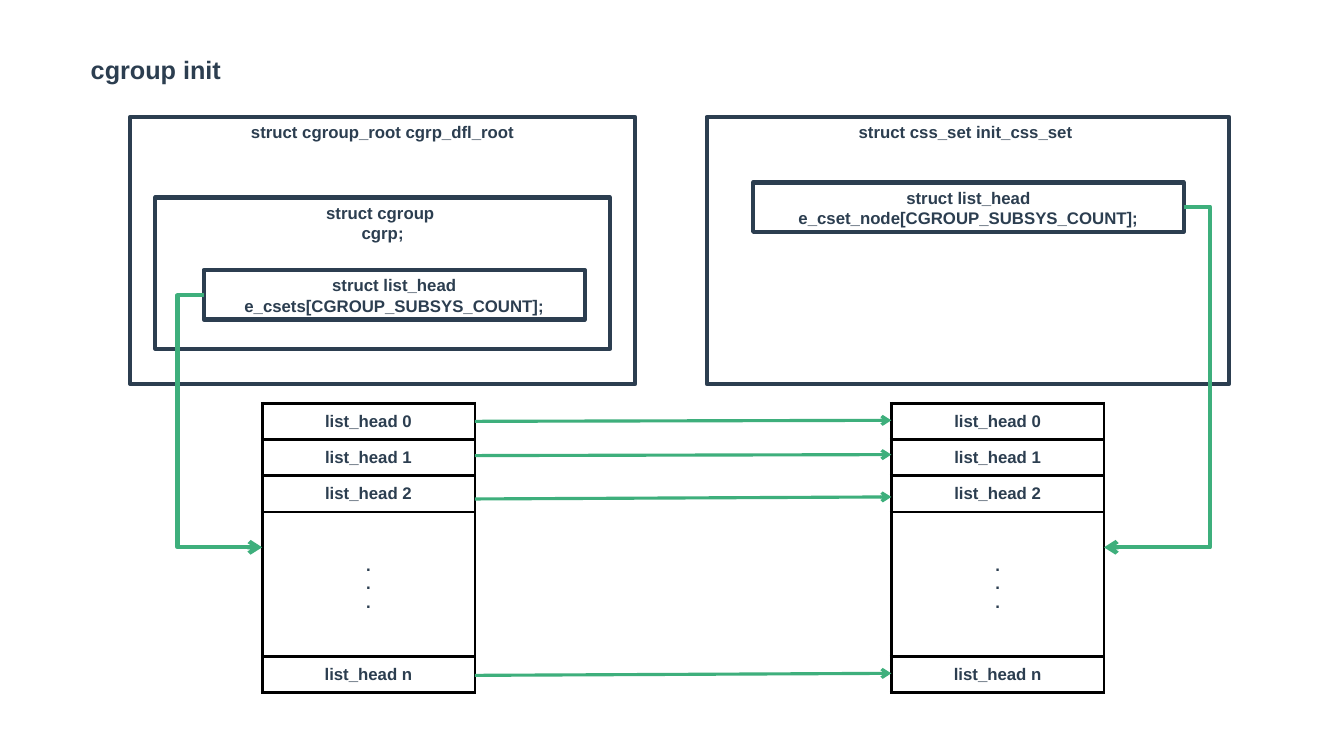
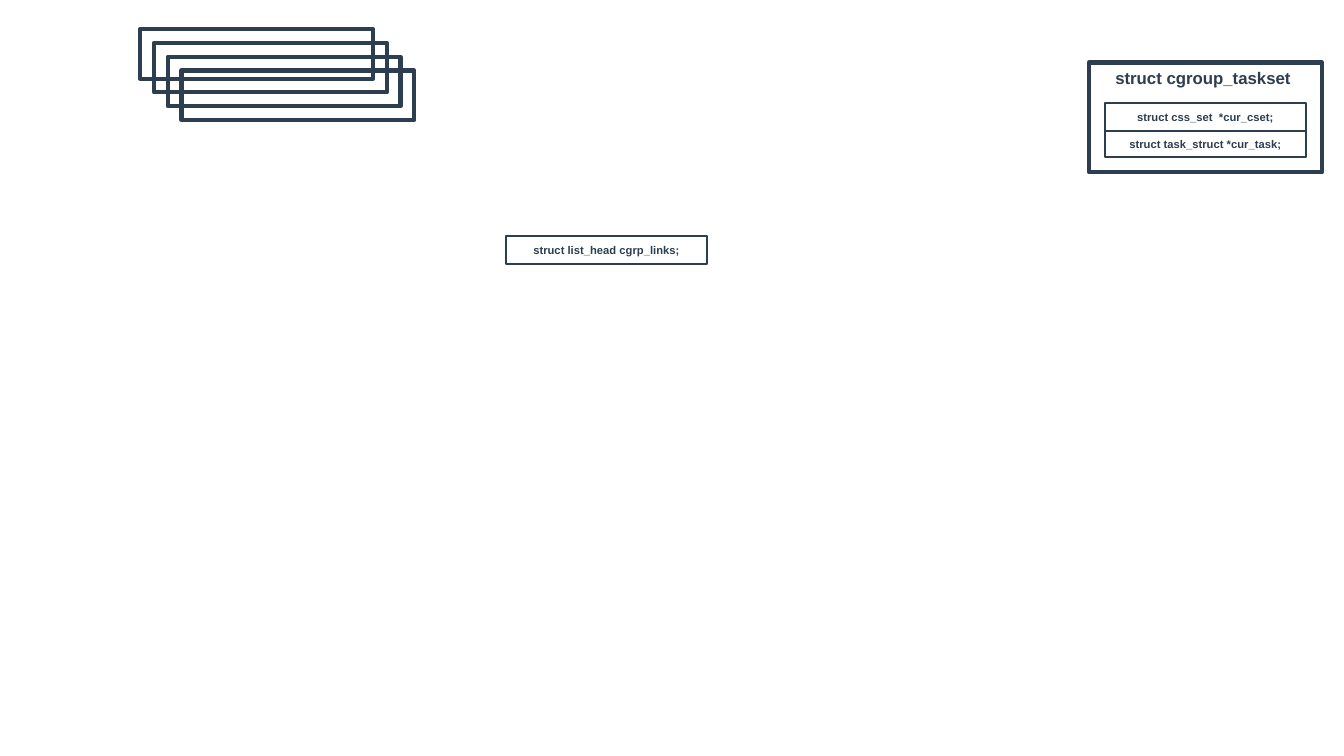
from dataclasses import dataclass

from lxml import etree
from pptx import Presentation
from pptx.dml.color import RGBColor
from pptx.enum.shapes import MSO_CONNECTOR, MSO_SHAPE
from pptx.enum.text import MSO_ANCHOR, MSO_AUTO_SIZE, PP_ALIGN
from pptx.oxml.ns import qn
from pptx.util import Inches, Pt


@dataclass(frozen=True)
class Theme:
    font: str = "Arial"
    ink: str = "2C3E50"
    link: str = "3EAF7C"
    grid: str = "000000"
    title: int = 18
    body: int = 12
    small: int = 8
    heavy: float = 3
    medium: float = 2.25
    thin: float = 1.5


THEME = Theme()

# Content: boxes are (left, top, width, height, paragraphs)
TITLE = "cgroup init"
STRUCTS = [
    (1.29, 1.16, 5.01, 2.65, ["struct cgroup_root cgrp_dfl_root"]),
    (1.54, 1.96, 4.51, 1.5, ["struct cgroup ", "cgrp;"]),
    (2.02, 2.68, 3.78, 0.49, ["struct list_head e_csets[CGROUP_SUBSYS_COUNT];"]),
    (7.01, 1.16, 5.18, 2.65, ["struct css_set init_css_set "]),
    (7.47, 1.81, 4.27, 0.49, ["struct list_head e_cset_node[CGROUP_SUBSYS_COUNT];"]),
]
LIST_ROWS = [
    (0.36, ["list_head 0"]),
    (0.36, ["list_head 1"]),
    (0.36, ["list_head 2"]),
    (1.43, [".", ".", "."]),
    (0.36, ["list_head n"]),
]
LIST_TOP, LIST_WIDTH = 4, 2.11
LEFT_LIST, RIGHT_LIST = 2.6, 8.84
LIST_LINKS = [(4.18, 4.17), (4.52, 4.51), (4.95, 4.93), (6.7, 6.68)]
# Elbow links: start, end, x of the vertical run
ARRAY_LINKS = [
    ((2.02, 2.93), (LEFT_LIST, 5.43), 1.76),
    ((11.74, 2.05), (RIGHT_LIST + LIST_WIDTH, 5.43), 12),
]

STACK_FIRST, STACK_LAST, STACK_COUNT = (1.39, 0.29), (1.8, 0.7), 4
STACK_SIZE = (2.31, 0.49)
CGRP_LINKS = (5.02, 2.34, 1.99, 0.28, ["struct list_head cgrp_links;"])
TASKSET = (10.8, 0.62, 2.31, 1.09, ["struct cgroup_taskset "])
TASKSET_FIELDS = [
    (10.96, 1.02, 1.99, 0.28, ["struct css_set  *cur_cset;"]),
    (10.96, 1.3, 1.99, 0.26, ["struct task_struct *cur_task;"]),
]


def write(tf, paragraphs, size, align=PP_ALIGN.CENTER):
    style = {"name": THEME.font, "size": Pt(size), "bold": True}
    for i, text in enumerate(paragraphs):
        p = tf.paragraphs[0] if i == 0 else tf.add_paragraph()
        p.alignment = align
        r = p.add_run()
        r.text = text
        for name, value in style.items():
            setattr(r.font, name, value)
        r.font.color.rgb = RGBColor.from_string(THEME.ink)


def add_box(shapes, left, top, width, height, paragraphs=(), field=False):
    """Outlined box: a heavy container, or a thin field with small centred text."""
    sp = shapes.add_shape(MSO_SHAPE.RECTANGLE, *map(Inches, (left, top, width, height)))
    sp.shadow.inherit = False
    sp.fill.background()
    sp.line.color.rgb = RGBColor.from_string(THEME.ink)
    sp.line.width = Pt(THEME.thin if field else THEME.heavy)
    tf = sp.text_frame
    tf.word_wrap = True
    tf.vertical_anchor = MSO_ANCHOR.MIDDLE if field else MSO_ANCHOR.TOP
    write(tf, paragraphs, THEME.small if field else THEME.body)


def add_arrow(s, start, end, weight, lane=None):
    """Straight arrow, or an elbow whose vertical run sits at x = lane."""
    kind = MSO_CONNECTOR.STRAIGHT if lane is None else MSO_CONNECTOR.ELBOW
    line = s.shapes.add_connector(kind, *map(Inches, (*start, *end)))
    line.line.color.rgb = RGBColor.from_string(THEME.link)
    line.line.width = Pt(weight)
    etree.SubElement(line.line._get_or_add_ln(), qn("a:tailEnd"), type="arrow")
    props = line._element.spPr
    etree.SubElement(props, qn("a:effectLst"))
    if lane is not None:
        bend = round((lane - start[0]) / (end[0] - start[0]) * 100000)
        guides = props.find(qn("a:prstGeom")).get_or_add_avLst()
        etree.SubElement(guides, qn("a:gd"), name="adj1", fmla=f"val {bend}")


def add_borders(cell):
    tc_pr = cell._tc.get_or_add_tcPr()
    for side in ("lnL", "lnR", "lnT", "lnB"):
        ln = etree.SubElement(tc_pr, qn(f"a:{side}"), w=str(Pt(THEME.medium)))
        fill = etree.SubElement(ln, qn("a:solidFill"))
        etree.SubElement(fill, qn("a:srgbClr"), val=THEME.grid)


def add_list(s, left):
    height = sum(h for h, _ in LIST_ROWS)
    frame = s.shapes.add_table(
        len(LIST_ROWS), 1, *map(Inches, (left, LIST_TOP, LIST_WIDTH, height)))
    table = frame.table
    table.first_row = table.horz_banding = False
    for i, (row_height, paragraphs) in enumerate(LIST_ROWS):
        table.rows[i].height = Inches(row_height)
        cell = table.cell(i, 0)
        cell.vertical_anchor = MSO_ANCHOR.MIDDLE
        add_borders(cell)
        cell.fill.background()
        write(cell.text_frame, paragraphs, THEME.body)


def add_title(s, text):
    title = s.shapes.title
    place = {"left": 0.8, "top": 0.49, "width": 1.73, "height": 0.4}
    for name, value in place.items():
        setattr(title, name, Inches(value))
    tf = title.text_frame
    tf.word_wrap = False
    tf.auto_size = MSO_AUTO_SIZE.SHAPE_TO_FIT_TEXT
    tf.vertical_anchor = MSO_ANCHOR.TOP
    write(tf, [text], THEME.title, PP_ALIGN.LEFT)


def build_init_slide(prs):
    s = prs.slides.add_slide(prs.slide_layouts[5])
    add_title(s, TITLE)
    for box in STRUCTS:
        add_box(s.shapes, *box)
    for left in (LEFT_LIST, RIGHT_LIST):
        add_list(s, left)
    for start, end, lane in ARRAY_LINKS:
        add_arrow(s, start, end, THEME.heavy, lane)
    for y1, y2 in LIST_LINKS:
        add_arrow(s, (LEFT_LIST + LIST_WIDTH, y1), (RIGHT_LIST, y2), THEME.medium)


def build_taskset_slide(prs):
    s = prs.slides.add_slide(prs.slide_layouts[6])
    # Cascading stack of empty boxes
    for i in range(STACK_COUNT):
        left, top = (a + (b - a) * i / (STACK_COUNT - 1)
                     for a, b in zip(STACK_FIRST, STACK_LAST))
        add_box(s.shapes, left, top, *STACK_SIZE)
    add_box(s.shapes, *CGRP_LINKS, field=True)
    # Taskset container and its fields
    group = s.shapes.add_group_shape()
    add_box(group.shapes, *TASKSET)
    for box in TASKSET_FIELDS:
        add_box(group.shapes, *box, field=True)


def main():
    prs = Presentation()
    prs.slide_width, prs.slide_height = Inches(13.33), Inches(7.5)
    build_init_slide(prs)
    build_taskset_slide(prs)
    prs.save("out.pptx")


if __name__ == "__main__":
    main()
